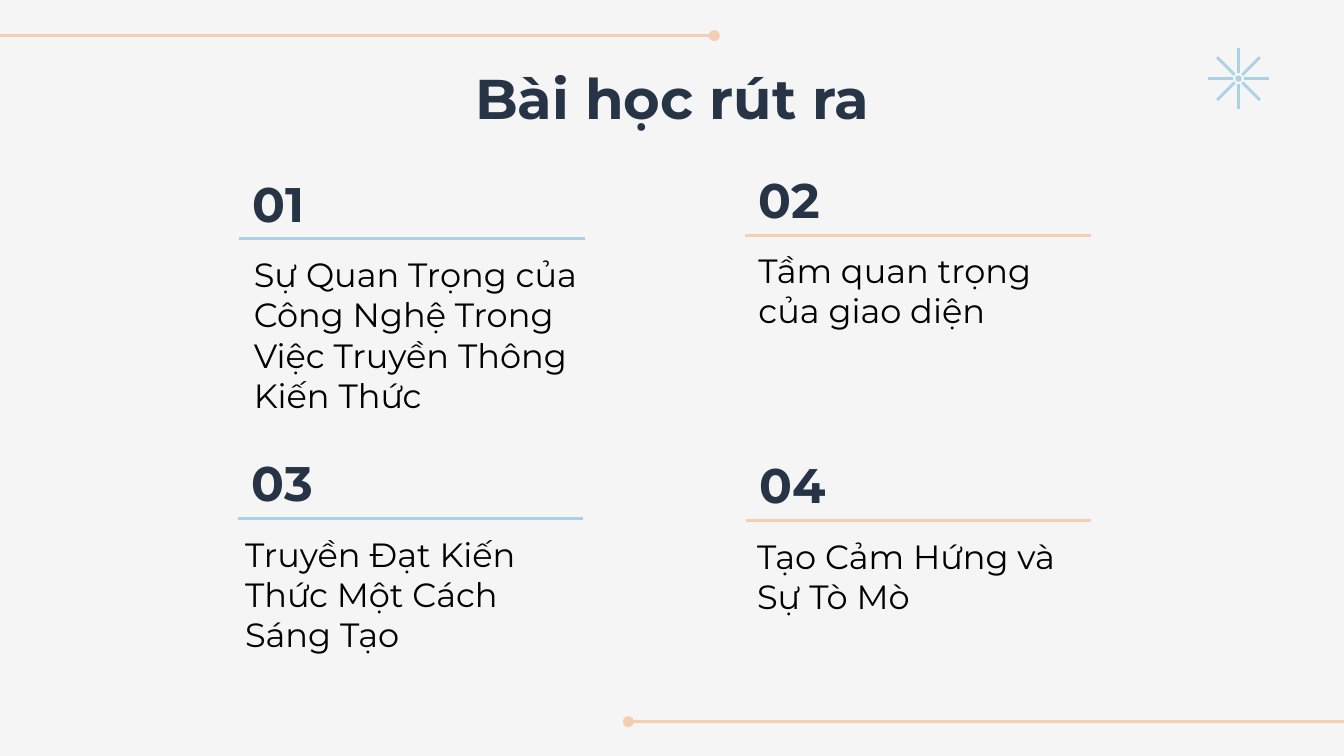
from math import cos, pi, sin

from lxml import etree
from pptx import Presentation
from pptx.dml.color import RGBColor
from pptx.enum.shapes import MSO_CONNECTOR, MSO_SHAPE
from pptx.enum.text import MSO_ANCHOR, MSO_AUTO_SIZE, PP_ALIGN
from pptx.oxml.ns import qn
from pptx.util import Pt

STRAIGHT = MSO_CONNECTOR.STRAIGHT
OVAL = MSO_SHAPE.OVAL
MIDDLE, BOTTOM = MSO_ANCHOR.MIDDLE, MSO_ANCHOR.BOTTOM
LEFT, CENTER = PP_ALIGN.LEFT, PP_ALIGN.CENTER
NO_FIT = MSO_AUTO_SIZE.NONE

# Content
TITLE = "Bài học rút ra"
# number, its box corner, lesson, its box, rule start
LESSONS = [
    ("01", (356, 242), "Sự Quan Trọng của Công Nghệ Trong Việc Truyền Thông Kiến Thức",
     (358, 356, 590, 282), (356, 355)),
    ("02", (1109, 237), "Tầm quan trọng của giao diện",
     (1109, 350, 536, 162), (1109, 351)),
    ("03", (355, 658), "Truyền Đạt Kiến Thức Một Cách Sáng Tạo",
     (345, 772, 546, 222), (354, 772)),
    ("04", (1110, 661), "Tạo Cảm Hứng và Sự Tò Mò",
     (1107, 775, 528, 162), (1110, 775)),
]

# Style
PX = 4572  # 200 px to the inch
FONT = "Montserrat"
PAPER, NAVY, BLACK = "F5F5F5", "273446", "000000"
BLUE, PEACH, PINK = "ACD1E5", "F3CEB2", "FCA8A2"
NUMBER_SIZE = (528, 130)
RULE_WIDTH = 514
PADDING = 20
STAR_CENTER, STAR_INNER, STAR_OUTER, SPOKES = (1843, 117), 8, 45, 8
STAR_DOT = 5


def px(*lengths):
    return [round(length * PX) for length in lengths]


def rgb(color):
    return RGBColor.from_string(color)


def add_line(start, end, color, dot=None):
    """Draw a line; dot is "headEnd" or "tailEnd" for a round end."""
    line = slide.shapes.add_connector(STRAIGHT, *px(*start, *end))
    line.line.color.rgb = rgb(color)
    line.line.width = Pt(1.5)
    if dot:
        etree.SubElement(line.line._get_or_add_ln(), qn("a:" + dot), type="oval")
    etree.SubElement(line._element.spPr, qn("a:effectLst"))


def write(shape, text, size, color, bold=False, align=LEFT, anchor=MIDDLE, spacing=1.0):
    frame = shape.text_frame
    frame.text = text
    frame.word_wrap = True
    frame.auto_size = NO_FIT
    frame.vertical_anchor = anchor
    frame.margin_left, frame.margin_top, frame.margin_right, frame.margin_bottom = px(*[PADDING] * 4)
    paragraph = frame.paragraphs[0]
    paragraph.alignment = align
    paragraph.line_spacing = spacing
    font = paragraph.runs[0].font
    font.name, font.size, font.bold = FONT, Pt(size), bold
    font.color.rgb = rgb(color)


prs = Presentation()
prs.slide_width, prs.slide_height = px(2000, 1125)
slide = prs.slides.add_slide(prs.slide_layouts[5])
slide.background.fill.solid()
slide.background.fill.fore_color.rgb = rgb(PAPER)

# Border lines
add_line((-2, 53), (1063, 53), PEACH, "tailEnd")
add_line((935, 1074), (2000, 1074), PEACH, "headEnd")

# Star: spokes around a small dot
center_x, center_y = STAR_CENTER
for spoke in range(SPOKES):
    angle = 2 * pi * spoke / SPOKES
    inner, outer = [(center_x + radius * cos(angle), center_y + radius * sin(angle))
                    for radius in (STAR_INNER, STAR_OUTER)]
    add_line(inner, outer, BLUE)
star_dot = slide.shapes.add_shape(
    OVAL, *px(center_x - STAR_DOT / 2, center_y - STAR_DOT / 2, STAR_DOT, STAR_DOT))
star_dot.shadow.inherit = False
star_dot.fill.solid()
star_dot.fill.fore_color.rgb = rgb(PINK)
star_dot.line.color.rgb = rgb(BLUE)
star_dot.line.width = Pt(1.5)

# Title
title = slide.shapes.title
title.left, title.top, title.width, title.height = px(594, 88, 812, 126)
write(title, TITLE, 30, NAVY, bold=True, align=CENTER, spacing=0.9)

# Lessons: number, rule in the colour of its column, text
for index, (number, corner, lesson, lesson_box, rule_start) in enumerate(LESSONS):
    number_box = slide.shapes.add_textbox(*px(*corner, *NUMBER_SIZE))
    write(number_box, number, 26, NAVY, bold=True, spacing=0.9)
    text_box = slide.shapes.add_textbox(*px(*lesson_box))
    write(text_box, lesson, 18, BLACK, anchor=BOTTOM)
    rule_x, rule_y = rule_start
    add_line(rule_start, (rule_x + RULE_WIDTH, rule_y), (BLUE, PEACH)[index % 2])

prs.save("out.pptx")
